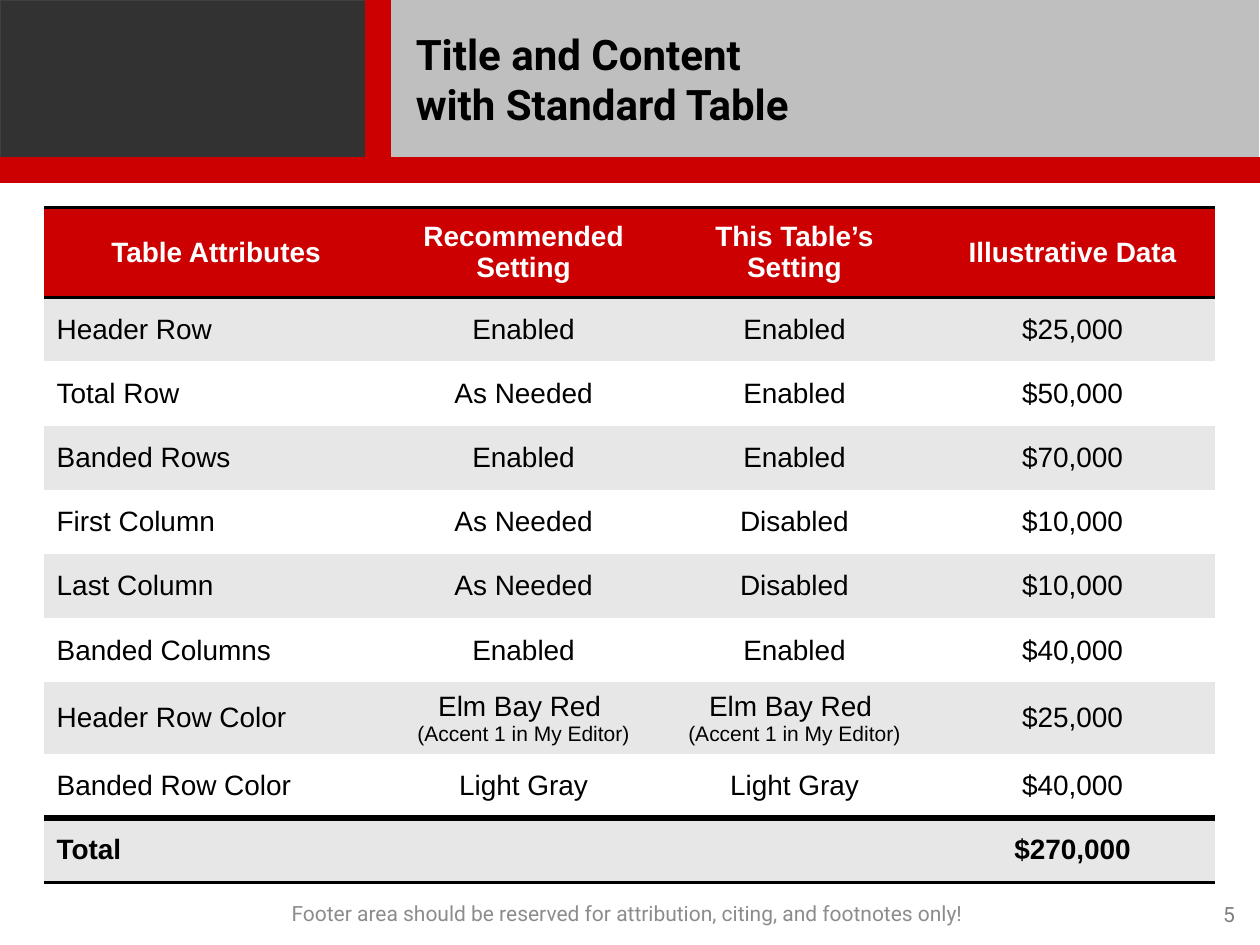
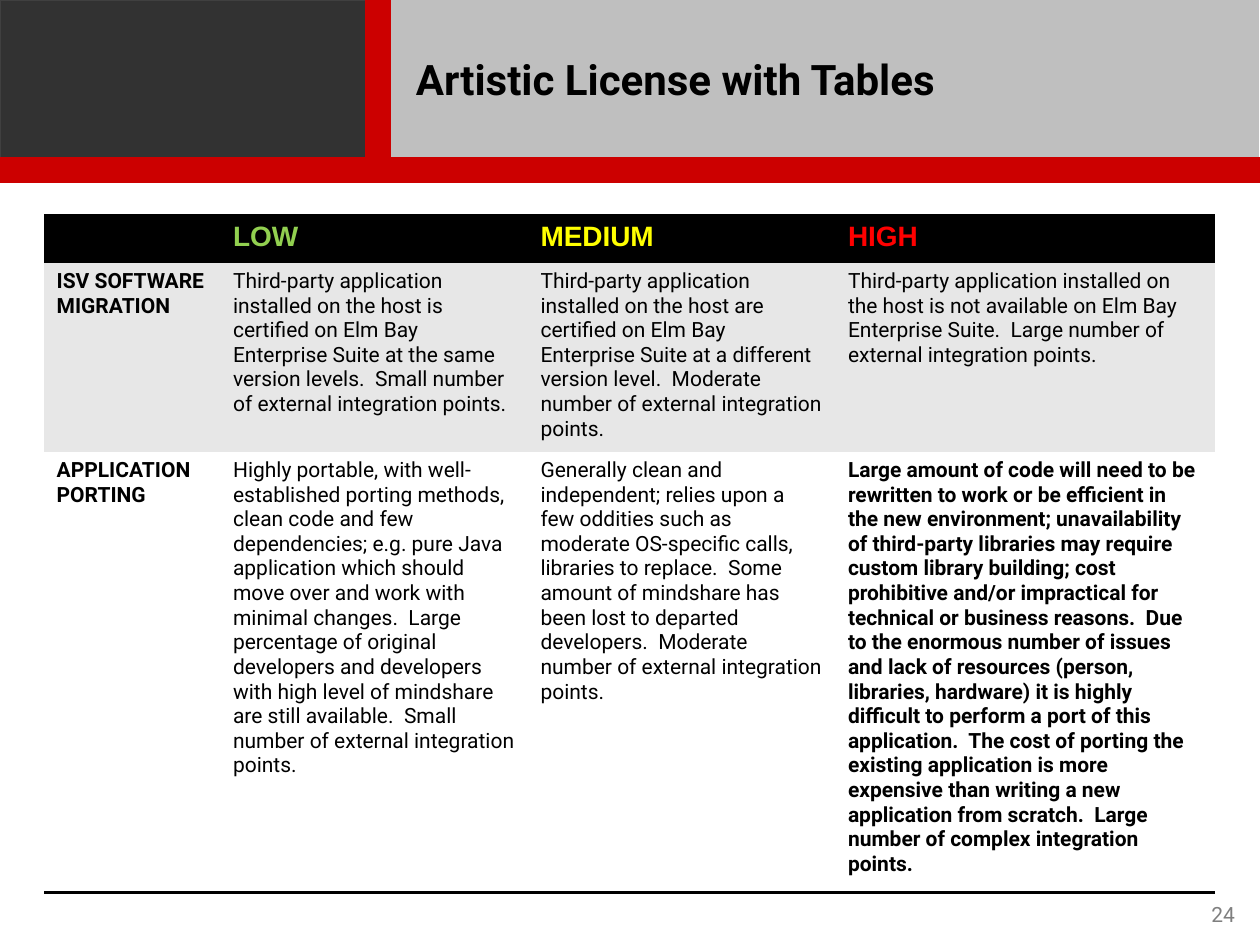
from dataclasses import dataclass

from lxml import etree
from pptx import Presentation
from pptx.dml.color import RGBColor
from pptx.enum import shapes, text
from pptx.oxml import ns
from pptx.util import Pt

LEFT, CENTER, RIGHT = text.PP_ALIGN.LEFT, text.PP_ALIGN.CENTER, text.PP_ALIGN.RIGHT
TOP, MIDDLE = text.MSO_ANCHOR.TOP, text.MSO_ANCHOR.MIDDLE
NO_GRID_STYLE = "{2D5ABB26-0587-4C30-8999-92F81FD0307C}"


@dataclass(frozen=True)
class Theme:
    heading_font: str = "Roboto"
    table_font: str = "Arial"
    red: str = "CC0000"
    charcoal: str = "323232"
    charcoal_edge: str = "404040"
    silver: str = "BFBFBF"
    band: str = "E7E7E7"
    white: str = "FFFFFF"
    black: str = "000000"
    page_gray: str = "7F7F7F"
    footer_gray: str = "8C8C8C"
    low: str = "92D050"
    medium: str = "FFFF00"
    high: str = "FF0000"
    title_size: int = 24
    table_size: int = 16
    small_size: int = 12


THEME = Theme()


@dataclass(frozen=True)
class Box:
    left: float
    top: float
    width: float
    height: float

    def lengths(self) -> tuple:
        return Pt(self.left), Pt(self.top), Pt(self.width), Pt(self.height)


@dataclass(frozen=True)
class Panel:
    box: Box
    fill: str
    edge: str


@dataclass(frozen=True)
class Rule:
    """A horizontal border along one side ("T" or "B") of a table row."""
    row: int
    side: str
    weight: float


SLIDE_WIDTH, SLIDE_HEIGHT = 720, 540
HEADER_HEIGHT, STRIPE = 90, 14.4
TITLE_LEFT = 223.2
TITLE_BOX = Box(TITLE_LEFT, 0, SLIDE_WIDTH - TITLE_LEFT, HEADER_HEIGHT)
FOOTER_BOX = Box(144, 511.2, 432, 21.6)
PAGE_BOX = Box(632.2, 511.9, 80.6, 21.6)
TABLE_LEFT = 25.2

PANELS = (
    Panel(Box(222.5, 0, 496.8, HEADER_HEIGHT), THEME.silver, THEME.silver),
    Panel(Box(0, 0, 208.8, HEADER_HEIGHT), THEME.charcoal, THEME.charcoal_edge),
    Panel(Box(0, HEADER_HEIGHT, SLIDE_WIDTH, STRIPE), THEME.red, THEME.red),
    Panel(Box(208.8, 0, STRIPE, HEADER_HEIGHT), THEME.red, THEME.red),
)

ACCENT_NOTE = "Elm Bay Red \v(Accent 1 in My Editor)"
ATTRIBUTE_ROWS = (
    ("Table Attributes", "Recommended Setting", "This Table’s Setting", "Illustrative Data"),
    ("Header Row", "Enabled", "Enabled", "$25,000"),
    ("Total Row", "As Needed", "Enabled", "$50,000"),
    ("Banded Rows", "Enabled", "Enabled", "$70,000"),
    ("First Column", "As Needed", "Disabled", "$10,000"),
    ("Last Column", "As Needed", "Disabled", "$10,000"),
    ("Banded Columns", "Enabled", "Enabled", "$40,000"),
    ("Header Row Color", ACCENT_NOTE, ACCENT_NOTE, "$25,000"),
    ("Banded Row Color", "Light Gray", "Light Gray", "$40,000"),
    ("Total", "", "", "$270,000"),
)

RISK_ROWS = (
    ("", "LOW", "MEDIUM", "HIGH"),
    (
        "ISV SOFTWARE\nMIGRATION",
        "Third-party application installed on the host is certified on Elm Bay Enterprise "
        "Suite at the same version levels.  Small number of external integration points.",
        "Third-party application installed on the host are certified on Elm Bay Enterprise "
        "Suite at a different version level.  Moderate number of external integration points.",
        "Third-party application installed on the host is not available on Elm Bay "
        "Enterprise Suite.  Large number of external integration points.",
    ),
    (
        "APPLICATION\nPORTING",
        "Highly portable, with well-established porting methods, clean code and few "
        "dependencies; e.g. pure Java application which should move over and work with "
        "minimal changes.  Large percentage of original developers and developers with "
        "high level of mindshare are still available.  Small number of external "
        "integration points.",
        "Generally clean and independent; relies upon a few oddities such as moderate "
        "OS-specific calls, libraries to replace.  Some amount of mindshare has been lost "
        "to departed developers.  Moderate number of external integration points.",
        "Large amount of code will need to be rewritten to work or be efficient in the new "
        "environment; unavailability of third-party libraries may require custom library "
        "building; cost prohibitive and/or impractical for technical or business reasons.  "
        "Due to the enormous number of issues and lack of resources (person, libraries, "
        "hardware) it is highly difficult to perform a port of this application.  The cost "
        "of porting the existing application is more expensive than writing a new "
        "application from scratch.  Large number of complex integration points.",
    ),
)


def rgb(color: str) -> RGBColor:
    return RGBColor.from_string(color)


def write(frame, content: str, *, size: float, font: str = THEME.heading_font,
          color: str = THEME.black, bold: bool = False, align=LEFT,
          note_size: float | None = None) -> None:
    """Fill a text frame; a newline starts a paragraph, a vertical tab breaks a line.

    Lines after a break take note_size when it is given.
    """
    for index, line_group in enumerate(content.split("\n")):
        paragraph = frame.paragraphs[0] if index == 0 else frame.add_paragraph()
        paragraph.alignment = align
        if not line_group:
            etree.SubElement(paragraph._p, ns.qn("a:endParaRPr"), sz=str(int(size * 100)))
            continue
        for position, line in enumerate(line_group.split("\v")):
            if position:
                paragraph.add_line_break()
            run = paragraph.add_run()
            run.text = line
            run.font.name = font
            run.font.size = Pt(note_size if position and note_size else size)
            run.font.bold = bold
            run.font.color.rgb = rgb(color)


def add_label(slide, box: Box, content: str, *, anchor=MIDDLE,
              inset: tuple[float, float] = (7.2, 3.6), **style) -> None:
    frame = slide.shapes.add_textbox(*box.lengths()).text_frame
    frame.word_wrap = True
    frame.vertical_anchor = anchor
    frame.margin_left = frame.margin_right = Pt(inset[0])
    frame.margin_top = frame.margin_bottom = Pt(inset[1])
    write(frame, content, **style)


def add_panel(slide, panel: Panel) -> None:
    rectangle = slide.shapes.add_shape(shapes.MSO_SHAPE.RECTANGLE, *panel.box.lengths())
    rectangle.shadow.inherit = False
    rectangle.fill.solid()
    rectangle.fill.fore_color.rgb = rgb(panel.fill)
    rectangle.line.color.rgb = rgb(panel.edge)
    rectangle.line.width = Pt(0.75)


def add_framed_slide(deck, title: str, page: int, footer: str = ""):
    """Add a slide with the header panels, title, page number and footer."""
    slide = deck.slides.add_slide(deck.slide_layouts[6])
    for panel in PANELS:
        add_panel(slide, panel)
    add_label(slide, TITLE_BOX, title, inset=(14.4, 7.2), size=THEME.title_size, bold=True)
    add_label(slide, PAGE_BOX, str(page), anchor=TOP, size=THEME.small_size,
              color=THEME.page_gray, align=RIGHT)
    if footer:
        add_label(slide, FOOTER_BOX, footer, size=THEME.small_size,
                  color=THEME.footer_gray, align=CENTER)
    return slide


def add_grid(slide, top: float, widths: tuple, heights: tuple, header_fill: str):
    """Add a table with a coloured header row and gray bands on odd rows."""
    box = Box(TABLE_LEFT, top, sum(widths), sum(heights))
    graphic = slide.shapes.add_table(len(heights), len(widths), *box.lengths())
    for style in graphic._element.iter(ns.qn("a:tableStyleId")):
        style.text = NO_GRID_STYLE
    grid = graphic.table
    grid.horz_banding = False
    for column, width in zip(grid.columns, widths):
        column.width = Pt(width)
    for index, (row, height) in enumerate(zip(grid.rows, heights)):
        row.height = Pt(height)
        band = THEME.band if index % 2 else THEME.white
        for cell in row.cells:
            cell.fill.solid()
            cell.fill.fore_color.rgb = rgb(band if index else header_fill)
    return grid


def draw_rules(grid, rules: tuple[Rule, ...]) -> None:
    """Draw the rules; list the top rule of a row before its bottom rule."""
    for rule in rules:
        for cell in grid.rows[rule.row].cells:
            properties = cell._tc.get_or_add_tcPr()
            border = etree.Element(ns.qn(f"a:ln{rule.side}"), w=str(Pt(rule.weight)))
            fill = etree.SubElement(border, ns.qn("a:solidFill"))
            etree.SubElement(fill, ns.qn("a:srgbClr"), val=THEME.black)
            properties.insert(len(properties) - 1, border)


def build_attributes_slide(deck) -> None:
    slide = add_framed_slide(
        deck, "Title and Content \vwith Standard Table", 5,
        "Footer area should be reserved for attribution, citing, and footnotes only! ")
    last = len(ATTRIBUTE_ROWS) - 1
    grid = add_grid(slide, 118.8, (196.6, 154.8, 154.8, 163), (51.1,) + (36.7,) * last,
                    THEME.red)
    for r, row in enumerate(ATTRIBUTE_ROWS):
        for c, content in enumerate(row):
            cell = grid.cell(r, c)
            cell.vertical_anchor = MIDDLE
            write(cell.text_frame, content, size=THEME.table_size,
                  note_size=THEME.small_size, font=THEME.table_font,
                  color=THEME.black if r else THEME.white, bold=r in (0, last),
                  align=LEFT if r and c == 0 else CENTER)
    draw_rules(grid, (Rule(0, "T", 2), Rule(0, "B", 2), Rule(last, "T", 4),
                      Rule(last, "B", 2)))


def build_risk_slide(deck) -> None:
    slide = add_framed_slide(deck, "Artistic License with Tables", 24)
    grid = add_grid(slide, 123.1, (100.8, 175.7, 175.7, 216.7), (27, 104.5, 246),
                    THEME.black)
    level_colors = (THEME.white, THEME.low, THEME.medium, THEME.high)
    worst_case = (2, 3)
    for r, row in enumerate(RISK_ROWS):
        for c, content in enumerate(row):
            frame = grid.cell(r, c).text_frame
            if r == 0:
                write(frame, content, size=THEME.table_size, font=THEME.table_font,
                      color=level_colors[c], bold=True)
            else:
                write(frame, content, size=THEME.small_size,
                      bold=c == 0 or (r, c) == worst_case)
    draw_rules(grid, (Rule(0, "T", 2), Rule(2, "B", 2)))


def main() -> None:
    deck = Presentation()
    deck.slide_width, deck.slide_height = Pt(SLIDE_WIDTH), Pt(SLIDE_HEIGHT)
    build_attributes_slide(deck)
    build_risk_slide(deck)
    deck.save("out.pptx")


if __name__ == "__main__":
    main()
